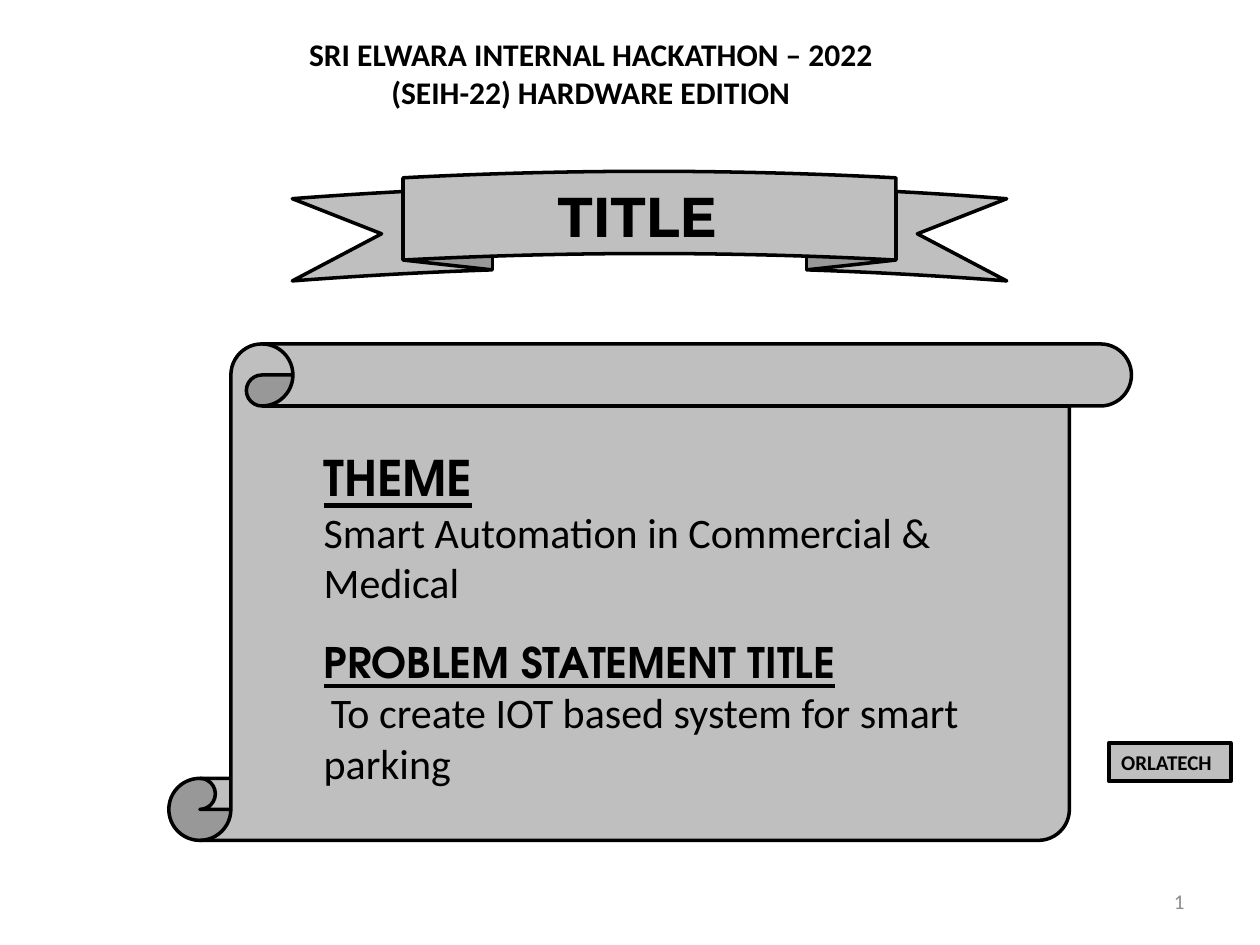
"""Build the hackathon title slide with its ribbon, scroll and team label."""
from dataclasses import dataclass

from pptx import Presentation
from pptx.dml.color import RGBColor
from pptx.enum.shapes import MSO_SHAPE
from pptx.enum.text import MSO_ANCHOR, MSO_AUTO_SIZE, PP_ALIGN
from pptx.shapes.autoshape import Shape
from pptx.slide import Slide
from pptx.util import Inches, Pt

BLACK = RGBColor(0x00, 0x00, 0x00)
SILVER = RGBColor(0xBF, 0xBF, 0xBF)
GRAY = RGBColor(0x8C, 0x8C, 0x8C)
BODY_FONT = "Calibri"
TITLE_FONT = "Montserrat"
HEADING_FONT = "TeX Gyre Adventor"
LEFT, CENTER, RIGHT = PP_ALIGN.LEFT, PP_ALIGN.CENTER, PP_ALIGN.RIGHT
TOP, MIDDLE = MSO_ANCHOR.TOP, MSO_ANCHOR.MIDDLE
FIT_SHAPE, FIXED = MSO_AUTO_SIZE.SHAPE_TO_FIT_TEXT, MSO_AUTO_SIZE.NONE
SCROLL = MSO_SHAPE.VERTICAL_SCROLL
RIBBON = MSO_SHAPE.CURVED_UP_RIBBON
RECTANGLE = MSO_SHAPE.RECTANGLE


@dataclass(frozen=True)
class Area:
    left: float
    top: float
    width: float
    height: float

    def lengths(self) -> tuple[Inches, ...]:
        return tuple(Inches(n) for n in (self.left, self.top, self.width, self.height))


@dataclass(frozen=True)
class Span:
    text: str
    size: float
    font: str = BODY_FONT
    bold: bool = False
    underline: bool = False
    color: RGBColor = BLACK


@dataclass(frozen=True)
class TextBlock:
    area: Area
    paras: list[list[Span]]
    align: PP_ALIGN = LEFT
    anchor: MSO_ANCHOR = TOP
    fit: MSO_AUTO_SIZE = FIT_SHAPE


@dataclass(frozen=True)
class Panel:
    kind: MSO_SHAPE
    area: Area
    line_width: float = 2
    adjustments: tuple[float, ...] = ()


def heading(text: str, size: float) -> list[Span]:
    return [Span(text, size, HEADING_FONT, bold=True, underline=True)]


SCROLL_PANEL = Panel(SCROLL, Area(1.34, 2.73, 7.64, 3.94))
RIBBON_PANEL = Panel(RIBBON, Area(2.32, 1.36, 5.67, 0.87), adjustments=(0.25, 0.69, 0.125))
TEAM_PANEL = Panel(RECTANGLE, Area(8.8, 5.9, 0.97, 0.3), line_width=2.25)
TEAM_NAME = [[Span("ORLATECH", 12, bold=True)]]

TEXT_BLOCKS = [
    TextBlock(
        Area(2.19, 0.23, 5, 0.71),
        [[Span("SRI ELWARA INTERNAL HACKATHON – 2022 (SEIH-22) HARDWARE EDITION", 18, bold=True)]],
        align=CENTER,
    ),
    TextBlock(
        Area(7.17, 6.95, 2.33, 0.4),
        [[Span("1", 12, color=GRAY)]],
        align=RIGHT, anchor=MIDDLE, fit=FIXED,
    ),
    TextBlock(Area(4.33, 1.39, 1.65, 0.64), [[Span("TITLE", 32, TITLE_FONT, bold=True)]]),
    TextBlock(
        Area(2.47, 3.5, 5.35, 1.38),
        [heading("THEME", 28), [Span("Smart Automation in Commercial & Medical", 24)]],
    ),
    TextBlock(
        Area(2.47, 5, 5.75, 1.31),
        [
            heading("PROBLEM STATEMENT TITLE", 24),
            [Span(" ", 18), Span("To create IOT based system for smart parking", 24)],
        ],
    ),
]


def write_text(box: Shape, paras: list[list[Span]], align: PP_ALIGN = LEFT,
               anchor: MSO_ANCHOR = TOP, fit: MSO_AUTO_SIZE = FIT_SHAPE) -> None:
    frame = box.text_frame
    frame.word_wrap = True
    frame.auto_size = fit
    frame.vertical_anchor = anchor
    for index, spans in enumerate(paras):
        para = frame.add_paragraph() if index else frame.paragraphs[0]
        para.alignment = align
        for span in spans:
            run = para.add_run()
            run.text = span.text
            run.font.name = span.font
            run.font.size = Pt(span.size)
            run.font.bold = span.bold
            run.font.underline = span.underline
            run.font.color.rgb = span.color


def draw_panel(page: Slide, panel: Panel) -> Shape:
    shape = page.shapes.add_shape(panel.kind, *panel.area.lengths())
    for index, value in enumerate(panel.adjustments):
        shape.adjustments[index] = value
    shape.shadow.inherit = False
    shape.fill.solid()
    shape.fill.fore_color.rgb = SILVER
    shape.line.color.rgb = BLACK
    shape.line.width = Pt(panel.line_width)
    return shape


def draw_text(page: Slide, block: TextBlock) -> None:
    box = page.shapes.add_textbox(*block.area.lengths())
    write_text(box, block.paras, block.align, block.anchor, block.fit)


def main() -> None:
    deck = Presentation()
    deck.slide_width, deck.slide_height = Inches(10), Inches(7.5)
    page = deck.slides.add_slide(deck.slide_layouts[6])
    for panel in (SCROLL_PANEL, RIBBON_PANEL):
        draw_panel(page, panel)
    for block in TEXT_BLOCKS:
        draw_text(page, block)
    write_text(draw_panel(page, TEAM_PANEL), TEAM_NAME)
    deck.save("out.pptx")


if __name__ == "__main__":
    main()
